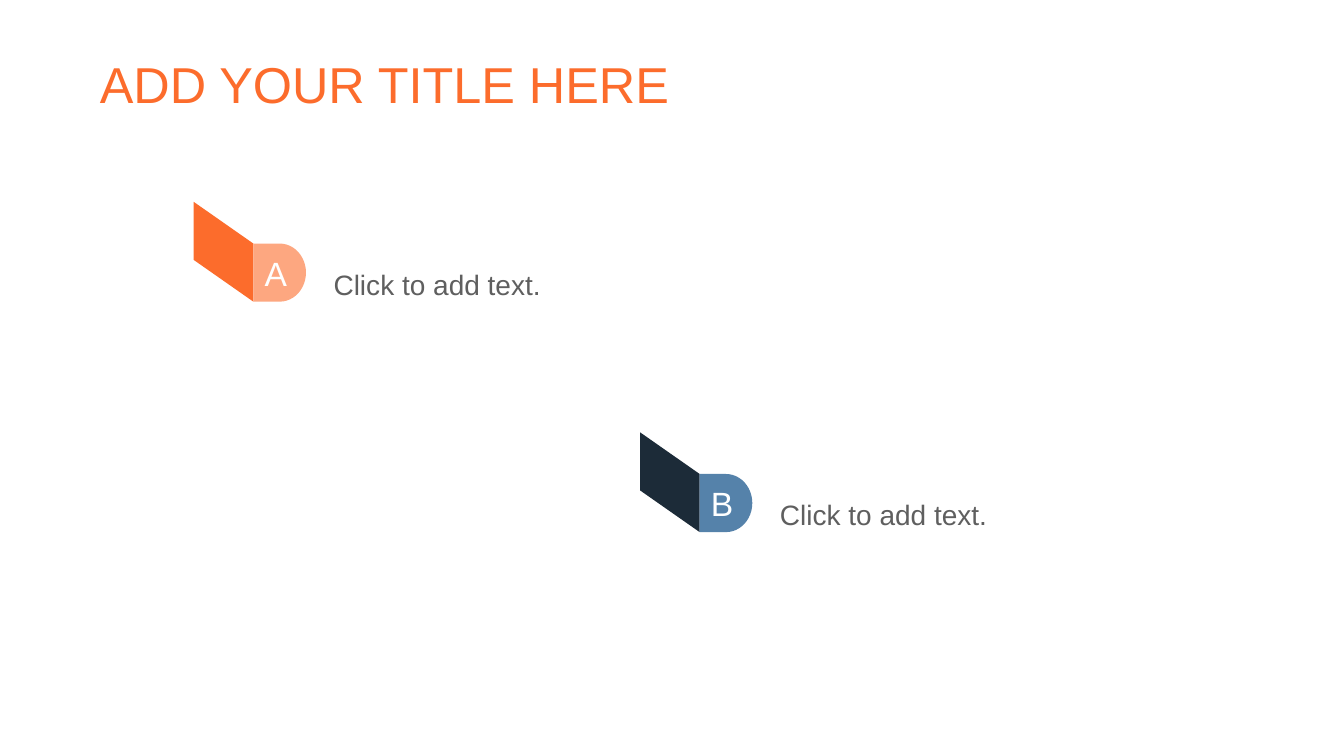
import pptx
import pptx.dml.color
import pptx.enum.shapes
import pptx.enum.text
import pptx.util

Pt = pptx.util.Pt

COLORS = {
    "orange": "FC6C2C",
    "peach": "FDA780",
    "navy": "1C2B38",
    "blue": "5582AA",
    "gray": "5F5F5F",
    "white": "FEFFFF",
}

FOLD_WIDTH = 42.6
FOLD_DROP = 29.8
TAB_WIDTH = 37.6
TAB_HEIGHT = 41.5


class SlideBuilder:
    font = "Arial"

    def __init__(self, slide):
        self.slide = slide

    def color(self, name):
        return pptx.dml.color.RGBColor.from_string(COLORS[name])

    def paint(self, shape, color):
        shape.shadow.inherit = False
        shape.fill.solid()
        shape.fill.fore_color.rgb = self.color(color)
        shape.line.fill.background()

    def set_text(self, shape, text, size, color, align="LEFT", spacing=1.0, insets=(7.2, 3.6)):
        frame = shape.text_frame
        frame.text = text
        frame.word_wrap = True
        frame.vertical_anchor = pptx.enum.text.MSO_ANCHOR.MIDDLE
        frame.margin_left = frame.margin_right = Pt(insets[0])
        frame.margin_top = frame.margin_bottom = Pt(insets[1])
        paragraph = frame.paragraphs[0]
        paragraph.alignment = pptx.enum.text.PP_ALIGN[align]
        paragraph.line_spacing = spacing
        font = paragraph.runs[0].font
        font.name = self.font
        font.size = Pt(size)
        font.color.rgb = self.color(color)

    def title(self, text):
        box = self.slide.shapes.add_textbox(Pt(66), Pt(28.8), Pt(828), Pt(67.7))
        self.set_text(box, text, 36, "orange", spacing=0.9, insets=(5.4, 2.7))

    def fold(self, shapes, left, top, color):
        right = left + FOLD_WIDTH
        builder = shapes.build_freeform(Pt(left), Pt(top), scale=1.0)
        corners = [
            (right, top + FOLD_DROP),
            (right, top + FOLD_DROP + TAB_HEIGHT),
            (left, top + TAB_HEIGHT),
        ]
        builder.add_line_segments([(Pt(x), Pt(y)) for x, y in corners], close=True)
        self.paint(builder.convert_to_shape(), color)

    def tab(self, shapes, left, top, letter, color):
        kind = pptx.enum.shapes.MSO_SHAPE.FLOWCHART_DELAY
        shape = shapes.add_shape(kind, Pt(left), Pt(top), Pt(TAB_WIDTH), Pt(TAB_HEIGHT))
        self.paint(shape, color)
        self.set_text(shape, letter, 24, "white", align="CENTER", insets=(0, 0))

    def marker(self, left, top, letter, text, fold_color, tab_color):
        shapes = self.slide.shapes.add_group_shape().shapes
        self.fold(shapes, left, top, fold_color)
        self.tab(shapes, left + FOLD_WIDTH, top + FOLD_DROP, letter, tab_color)
        box = shapes.add_textbox(Pt(left + 92.8), Pt(top + 18.2), Pt(271.4), Pt(68.8))
        self.set_text(box, text, 20, "gray", spacing=1.5)


def main():
    presentation = pptx.Presentation()
    presentation.slide_width = Pt(960)
    presentation.slide_height = Pt(540)
    builder = SlideBuilder(presentation.slides.add_slide(presentation.slide_layouts[6]))
    builder.marker(138.4, 144.2, "A", "Click to add text.", "orange", "peach")
    builder.marker(457.2, 308.8, "B", "Click to add text.", "navy", "blue")
    builder.title("ADD YOUR TITLE HERE")
    presentation.save("out.pptx")


if __name__ == "__main__":
    main()
